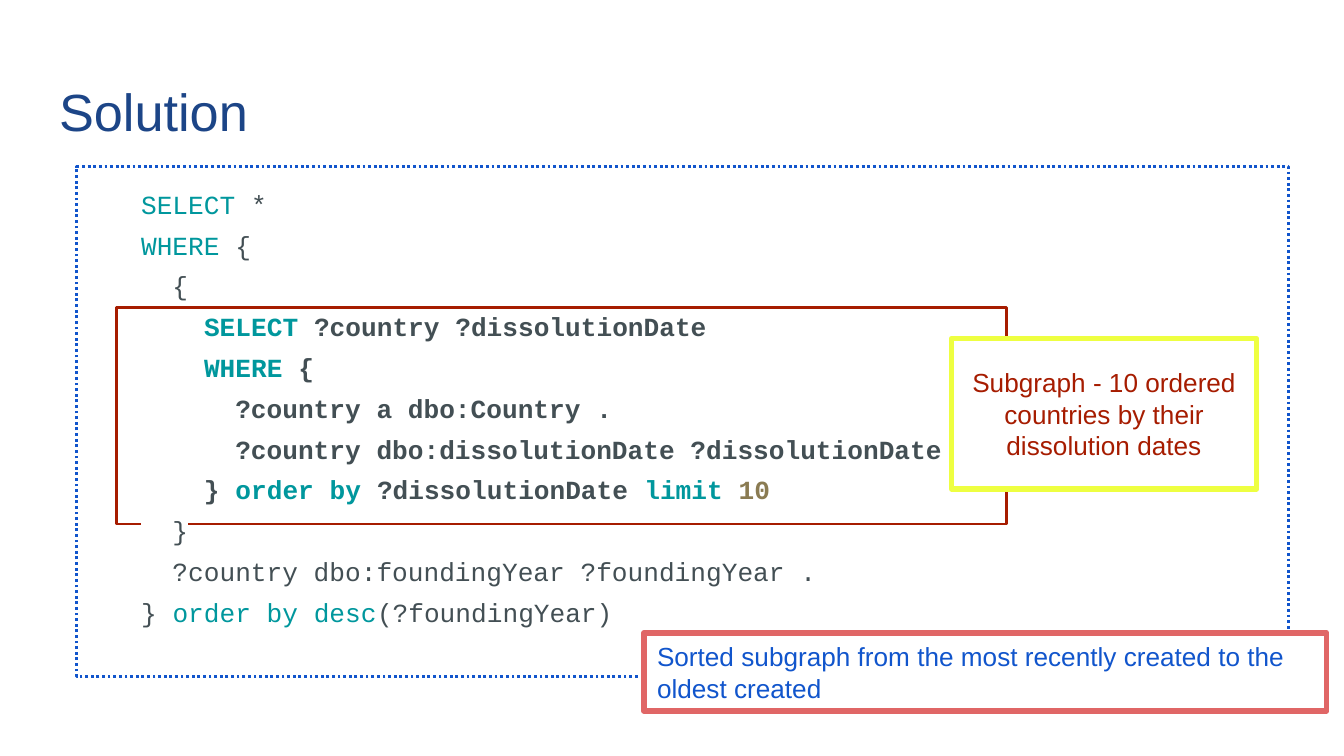
from lxml import etree
from pptx import Presentation
from pptx.dml.color import RGBColor
from pptx.enum.dml import MSO_LINE
from pptx.enum.shapes import MSO_SHAPE
from pptx.enum.text import MSO_ANCHOR, MSO_AUTO_SIZE, PP_ALIGN
from pptx.oxml.ns import qn
from pptx.util import Pt

BLUE, RED, YELLOW, PINK = "1155CC", "A61C00", "EEFF41", "E06666"
KEY, CODE, NUM, WHITE = "00979D", "434F54", "8A7B52", "FFFFFF"


def rgb(c):
    return RGBColor.from_string(c)


def add_box(x, y, w, h, line, width, fill=None):
    sp = s.shapes.add_shape(MSO_SHAPE.RECTANGLE, Pt(x), Pt(y), Pt(w), Pt(h))
    sp.shadow.inherit = False
    if fill:
        sp.fill.solid()
        sp.fill.fore_color.rgb = rgb(fill)
    else:
        sp.fill.background()
    sp.line.color.rgb = rgb(line)
    sp.line.width = Pt(width)
    return sp


prs = Presentation()
prs.slide_width, prs.slide_height = Pt(720), Pt(405)
s = prs.slides.add_slide(prs.slide_layouts[5])

frame = add_box(41, 89.3, 649.4, 273.3, BLUE, 1.5)
frame.line.dash_style = MSO_LINE.ROUND_DOT

title = s.shapes.title
title.left, title.top, title.width, title.height = Pt(24.5), Pt(35.3), Pt(671), Pt(45.4)
tf = title.text_frame
tf.text = "Solution"
tf.auto_size = MSO_AUTO_SIZE.NONE
tf.vertical_anchor = MSO_ANCHOR.TOP
tf.margin_left = tf.margin_top = tf.margin_right = tf.margin_bottom = Pt(7.2)
p = tf.paragraphs[0]
p.alignment = PP_ALIGN.LEFT
f = p.runs[0].font
f.name, f.size, f.color.rgb = "Arial", Pt(28), rgb("1C4587")

add_box(62.6, 164.9, 476.6, 115.9, RED, 1.5)

query = [
    [("SELECT", KEY), (" *", CODE)],
    [("WHERE", KEY), (" {", CODE)],
    [("  {", CODE)],
    [("    ", CODE), ("SELECT", KEY), (" ?country ?dissolutionDate", CODE)],
    [("    ", CODE), ("WHERE", KEY), (" {", CODE)],
    [("      ?country a dbo:Country .", CODE)],
    [("      ?country dbo:dissolutionDate ?dissolutionDate .", CODE)],
    [("    } ", CODE), ("order by ", KEY), ("?dissolutionDate ", CODE),
     ("limit", KEY), (" ", CODE), ("10", NUM)],
    [("  }", CODE)],
    [("  ?country dbo:foundingYear ?foundingYear .", CODE)],
    [("} ", CODE), ("order by desc", KEY), ("(?foundingYear)", CODE)],
]
subquery = range(3, 8)

gf = s.shapes.add_table(1, 1, Pt(70.6), Pt(92.2), Pt(522.7), Pt(237.6))
tbl = gf.table
tbl.first_row = tbl.horz_banding = False
cell = tbl.cell(0, 0)
cell.fill.background()
cell.margin_left = cell.margin_top = cell.margin_right = cell.margin_bottom = Pt(5)
tcPr = cell.fill._xPr
for i, tag in enumerate(("a:lnL", "a:lnR", "a:lnT", "a:lnB")):
    ln = etree.Element(qn(tag), w="0")
    etree.SubElement(ln, qn("a:noFill"))
    tcPr.insert(i, ln)

tf = cell.text_frame
for i, line in enumerate(query):
    p = tf.paragraphs[0] if i == 0 else tf.add_paragraph()
    p.line_spacing = 1.38
    for text, color in line:
        r = p.add_run()
        r.text = text
        f = r.font
        f.name, f.size, f.bold = "Courier New", Pt(14), i in subquery
        f.color.rgb = rgb(color)
        hl = etree.Element(qn("a:highlight"))
        etree.SubElement(hl, qn("a:srgbClr"), val=WHITE)
        r._r.rPr.find(qn("a:solidFill")).addnext(hl)

notes = [
    (509.8, 181.4, 163.4, 80.6, YELLOW, RED, PP_ALIGN.CENTER,
     "Subgraph - 10 ordered countries by their dissolution dates"),
    (344.9, 339.1, 365.8, 41.8, PINK, BLUE, PP_ALIGN.LEFT,
     "Sorted subgraph from the most recently created to the oldest created"),
]
for x, y, w, h, border, color, align, text in notes:
    sp = add_box(x, y, w, h, border, 3, WHITE)
    tf = sp.text_frame
    tf.text = text
    tf.word_wrap = True
    tf.vertical_anchor = MSO_ANCHOR.MIDDLE
    tf.margin_left = tf.margin_top = tf.margin_right = tf.margin_bottom = Pt(7.2)
    p = tf.paragraphs[0]
    p.alignment = align
    f = p.runs[0].font
    f.name, f.size, f.color.rgb = "Arial", Pt(14), rgb(color)

prs.save("out.pptx")
